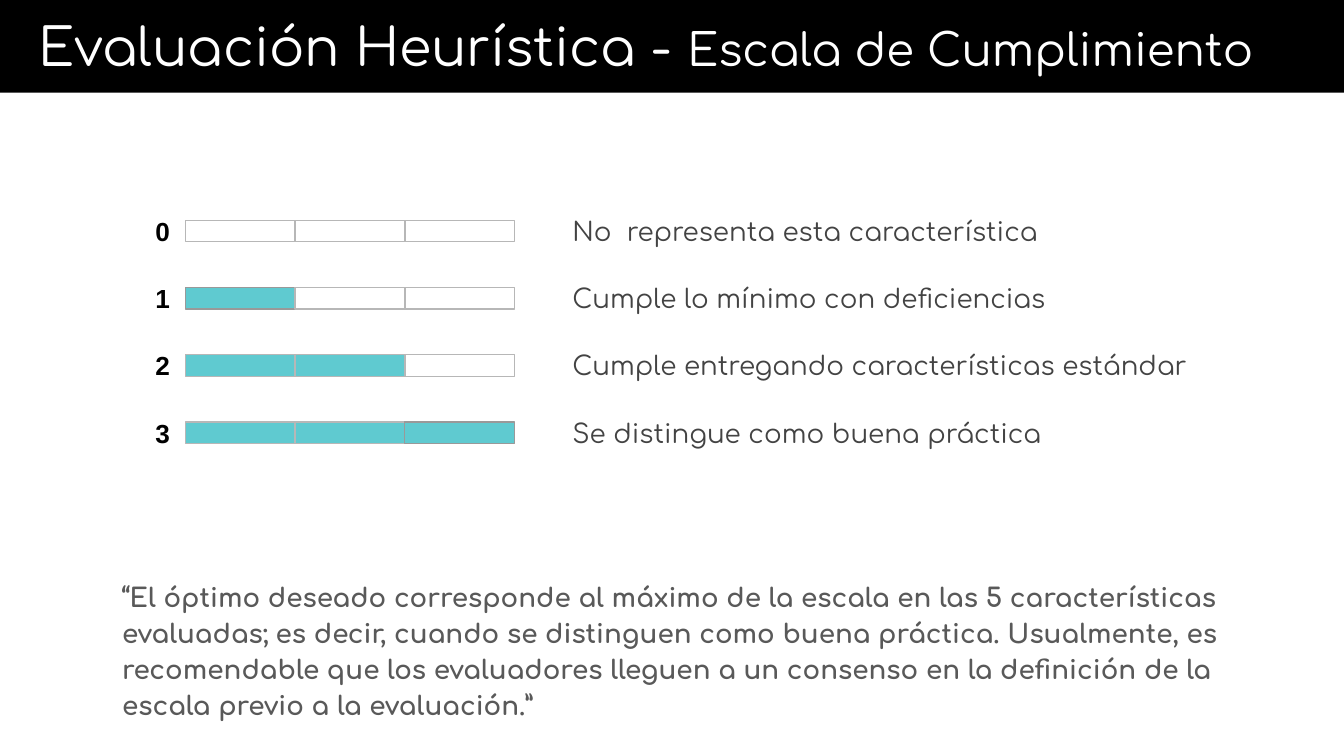
from pptx import Presentation
from pptx.dml.color import RGBColor
from pptx.enum import shapes, text
from pptx.util import Inches, Pt

LEVELS = [  # label, outline of the last filled segment
    ("No  representa esta característica", "B7B7B7"),
    ("Cumple lo mínimo con deficiencias", "999999"),
    ("Cumple entregando características estándar", "B7B7B7"),
    ("Se distingue como buena práctica", "999999"),
]
SEGMENTS = 3
QUOTE = (
    "“El óptimo deseado corresponde al máximo de la escala en las 5 "
    "características evaluadas; es decir, cuando se distinguen como buena "
    "práctica. Usualmente, es recomendable que los evaluadores lleguen a un "
    "consenso en la definición de la escala previo a la evaluación.”"
)


def color(value):
    return RGBColor.from_string(value)


def add_rect(page, left, top, width, height, fill=None, line=None):
    rect = page.shapes.add_shape(
        shapes.MSO_SHAPE.RECTANGLE,
        Inches(left), Inches(top), Inches(width), Inches(height))
    rect.shadow.inherit = False
    if fill:
        rect.fill.solid()
        rect.fill.fore_color.rgb = color(fill)
    else:
        rect.fill.background()
    if line:
        rect.line.color.rgb = color(line)
        rect.line.width = Pt(0.75)
    else:
        rect.line.fill.background()


def add_text(page, left, top, width, height, runs, ink,
             font="Comfortaa", bold=False, align=text.PP_ALIGN.LEFT):
    """Add a one-paragraph box from (wording, size) runs; return its frame."""
    box = page.shapes.add_textbox(
        Inches(left), Inches(top), Inches(width), Inches(height))
    frame = box.text_frame
    frame.word_wrap = True
    frame.vertical_anchor = text.MSO_ANCHOR.MIDDLE
    frame.margin_left = frame.margin_right = Inches(0.1)
    frame.margin_top = frame.margin_bottom = Inches(0.1)
    para = frame.paragraphs[0]
    para.alignment = align
    for wording, size in runs:
        span = para.add_run()
        span.text = wording
        span.font.name = font
        span.font.size = Pt(size)
        span.font.bold = bold
        span.font.color.rgb = color(ink)
    return frame


def add_header(page, left, top, width, height):
    add_rect(page, left, top, width, height, fill="000000")
    frame = add_text(page, left + 0.19, top + 0.01, width - 0.19, height - 0.06,
                     [("Evaluación Heurística - ", 28),
                      ("Escala de Cumplimiento", 24)], "FFFFFF")
    frame.vertical_anchor = text.MSO_ANCHOR.TOP


def add_level(page, left, top, height, level):
    """Draw one row: its number, its segmented bar and its meaning."""
    label, edge = LEVELS[level]
    add_text(page, left, top, 0.56, height, [(str(level), 14)], "000000",
             font="Arial", bold=True, align=text.PP_ALIGN.CENTER)
    for segment in range(SEGMENTS):
        add_rect(page, left + 0.45 + segment * 0.815, top + 0.08, 0.82, 0.16,
                 fill="5FCAD0" if segment < level else None,
                 line=edge if segment == level - 1 else "B7B7B7")
    add_text(page, left + 3.23, top, 4.97, height, [(label, 14)], "434343")


def add_scale(page, left, top, pitch):
    for level in range(len(LEVELS)):
        add_level(page, left, top + level * pitch, 0.32, level)


def add_quote(page, left, top, width, height):
    frame = add_text(page, left, top, width, height, [(QUOTE, 14)], "595959",
                     bold=True)
    frame.margin_bottom = Inches(0.35)
    frame.paragraphs[0].line_spacing = 1.15


def main():
    deck = Presentation()
    deck.slide_width = Inches(10)
    deck.slide_height = deck.slide_width * 9 // 16
    page = deck.slides.add_slide(deck.slide_layouts[6])
    add_header(page, 0, 0, 10, 0.69)
    add_scale(page, 0.93, 1.56, 0.5)
    add_quote(page, 0.81, 4.12, 8.39, 1.66)
    deck.save("out.pptx")


if __name__ == "__main__":
    main()
